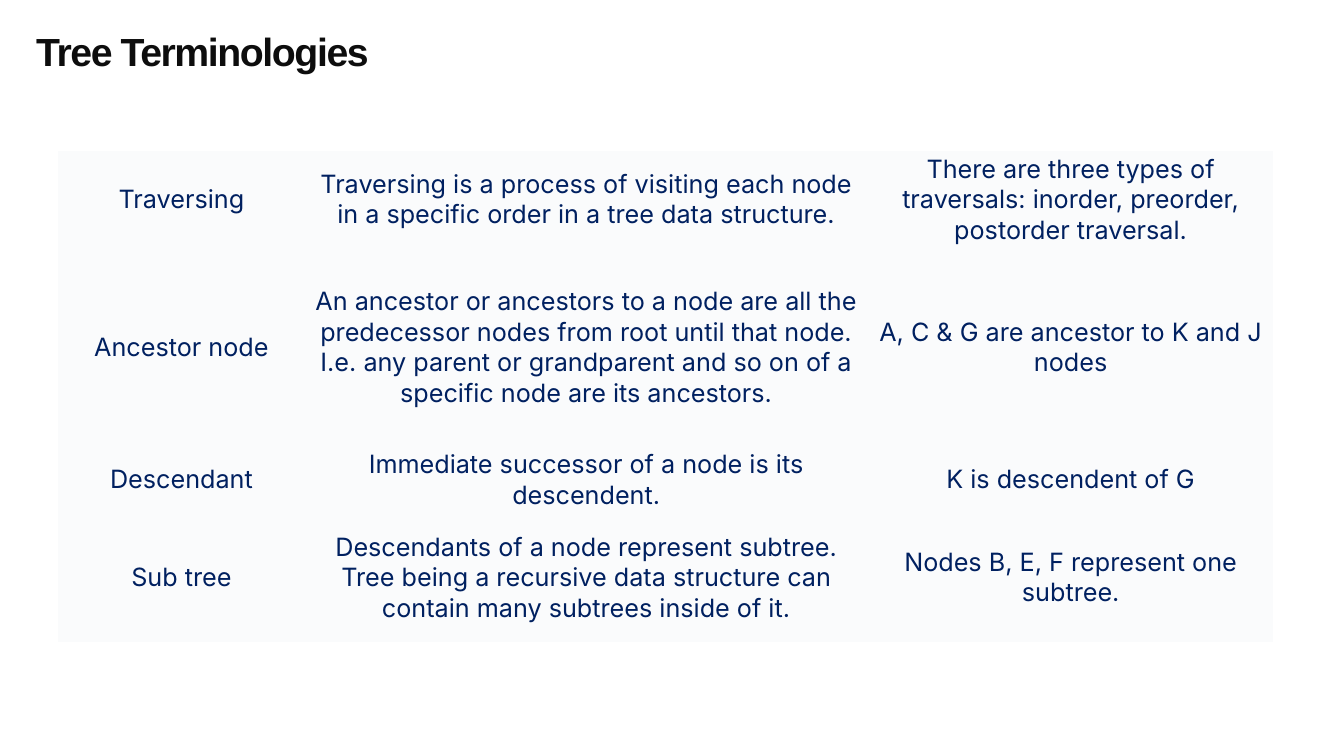
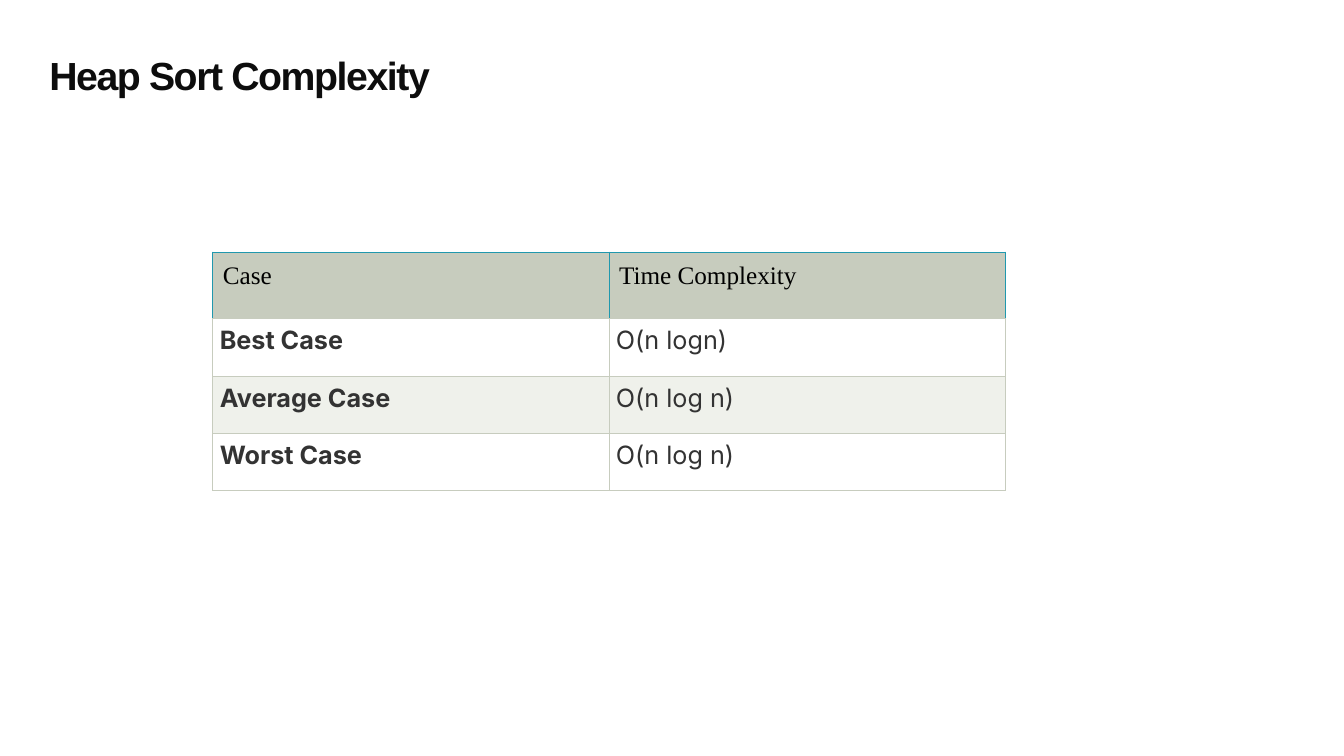
from lxml import etree
from pptx import Presentation
from pptx.dml.color import RGBColor
from pptx.enum.text import MSO_ANCHOR, PP_ALIGN
from pptx.oxml.ns import qn
from pptx.util import Inches, Pt

TOP, MIDDLE, BOTTOM = MSO_ANCHOR.TOP, MSO_ANCHOR.MIDDLE, MSO_ANCHOR.BOTTOM
LEFT, CENTER, JUSTIFY = PP_ALIGN.LEFT, PP_ALIGN.CENTER, PP_ALIGN.JUSTIFY

COLORS = {
    "title": "0D0D0D",
    "term": "002060",
    "term_fill": "FAFBFC",
    "header": "000000",
    "header_fill": "C7CCBE",
    "header_line": "2098AE",
    "body": "333333",
    "white": "FFFFFF",
    "band": "EFF1EB",
}
TITLE_FORMAT = dict(font="Arial", size=28, color="title", bold=True, spacing=-1)


def write(frame, text, font="Inter", size=18, color="body", bold=False,
          align=LEFT, spacing=None):
    paragraph = frame.paragraphs[0]
    paragraph.alignment = align
    run = paragraph.add_run()
    run.text = text
    run.font.name = font
    run.font.size = Pt(size)
    run.font.bold = bold
    run.font.color.rgb = RGBColor.from_string(COLORS[color])
    if spacing is not None:
        run.font._element.set("spc", str(spacing * 100))


def style_cell(cell, fill, margin_x, margin_y, anchor=TOP, lines=(None,) * 4):
    """Set fill, margins and border colours; lines go left, right, top, bottom."""
    cell.margin_left = cell.margin_right = Inches(margin_x)
    cell.margin_top = cell.margin_bottom = Inches(margin_y)
    cell.vertical_anchor = anchor
    properties = cell._tc.get_or_add_tcPr()
    for side, color in zip("LRTB", lines):
        line = etree.SubElement(properties, qn(f"a:ln{side}"), w=str(Pt(0.6)))
        if color is None:
            etree.SubElement(line, qn("a:noFill"))
        else:
            solid = etree.SubElement(line, qn("a:solidFill"))
            etree.SubElement(solid, qn("a:srgbClr"), val=COLORS[color])
    cell.fill.solid()
    cell.fill.fore_color.rgb = RGBColor.from_string(COLORS[fill])


terms = [
    ("Traversing",
     "Traversing is a process of visiting each node in a specific order in a tree "
     "data structure.",
     "There are three types of traversals: inorder, preorder, postorder traversal."),
    ("Ancestor node",
     "An ancestor or ancestors to a node are all the predecessor nodes from root "
     "until that node. I.e. any parent or grandparent and so on of a specific node "
     "are its ancestors.",
     "A, C & G are ancestor to K and J nodes"),
    ("Descendant",
     "Immediate successor of a node is its descendent.",
     "K is descendent of G"),
    ("Sub tree",
     "Descendants of a node represent subtree. Tree being a recursive data structure "
     "can contain many subtrees inside of it.",
     "Nodes B, E, F represent one subtree."),
]
complexities = [
    ("Case", "Time Complexity"),
    ("Best Case", "O(n logn)"),
    ("Average Case", "O(n log n)"),
    ("Worst Case", "O(n log n)"),
]
# Title, its left and top, table rows, table left and top, column widths, row heights
pages = [
    ("Tree Terminologies", 0.36, 0.27, terms, 0.58, 1.5,
     [2.44, 5.59, 4.02], [0.93, 1.97, 0.58, 1.28]),
    ("Heap Sort Complexity", 0.49, 0.51, complexities, 2.11, 2.5,
     [3.93] * 2, [0.66] + [0.57] * 3),
]

prs = Presentation()
prs.slide_width, prs.slide_height = Inches(13.33), Inches(7.5)

tables = []
for title, title_left, title_top, rows, left, top, widths, heights in pages:
    slide = prs.slides.add_slide(prs.slide_layouts[6])
    title_frame = slide.shapes.add_textbox(
        Inches(title_left), Inches(title_top), Inches(7.8), Inches(0.47)).text_frame
    title_frame.word_wrap = True
    title_frame.vertical_anchor = BOTTOM
    title_frame.margin_left = title_frame.margin_right = 0
    title_frame.margin_top = title_frame.margin_bottom = 0
    write(title_frame, title, **TITLE_FORMAT)

    table = slide.shapes.add_table(
        len(rows), len(widths), Inches(left), Inches(top),
        Inches(sum(widths)), Inches(sum(heights))).table
    table.first_row = table.horz_banding = False
    for column, width in zip(table.columns, widths):
        column.width = Inches(width)
    for row, height in zip(table.rows, heights):
        row.height = Inches(height)
    tables.append(table)

terms_table, complexity_table = tables

for r, row in enumerate(terms):
    for c, text in enumerate(row):
        cell = terms_table.cell(r, c)
        style_cell(cell, "term_fill", 0.06, 0.03, anchor=MIDDLE)
        write(cell.text_frame, text, color="term", align=CENTER)

for r, row in enumerate(complexities):
    for c, text in enumerate(row):
        cell = complexity_table.cell(r, c)
        if r == 0:
            style_cell(cell, "header_fill", 0.1, 0.1,
                       lines=["header_line"] * 3 + ["header_fill"])
            write(cell.text_frame, text, font="Times New Roman", color="header")
        else:
            style_cell(cell, "white" if r % 2 else "band", 0.07, 0.07,
                       lines=["header_fill"] * 4)
            write(cell.text_frame, text, bold=c == 0, align=JUSTIFY)

prs.save("out.pptx")
